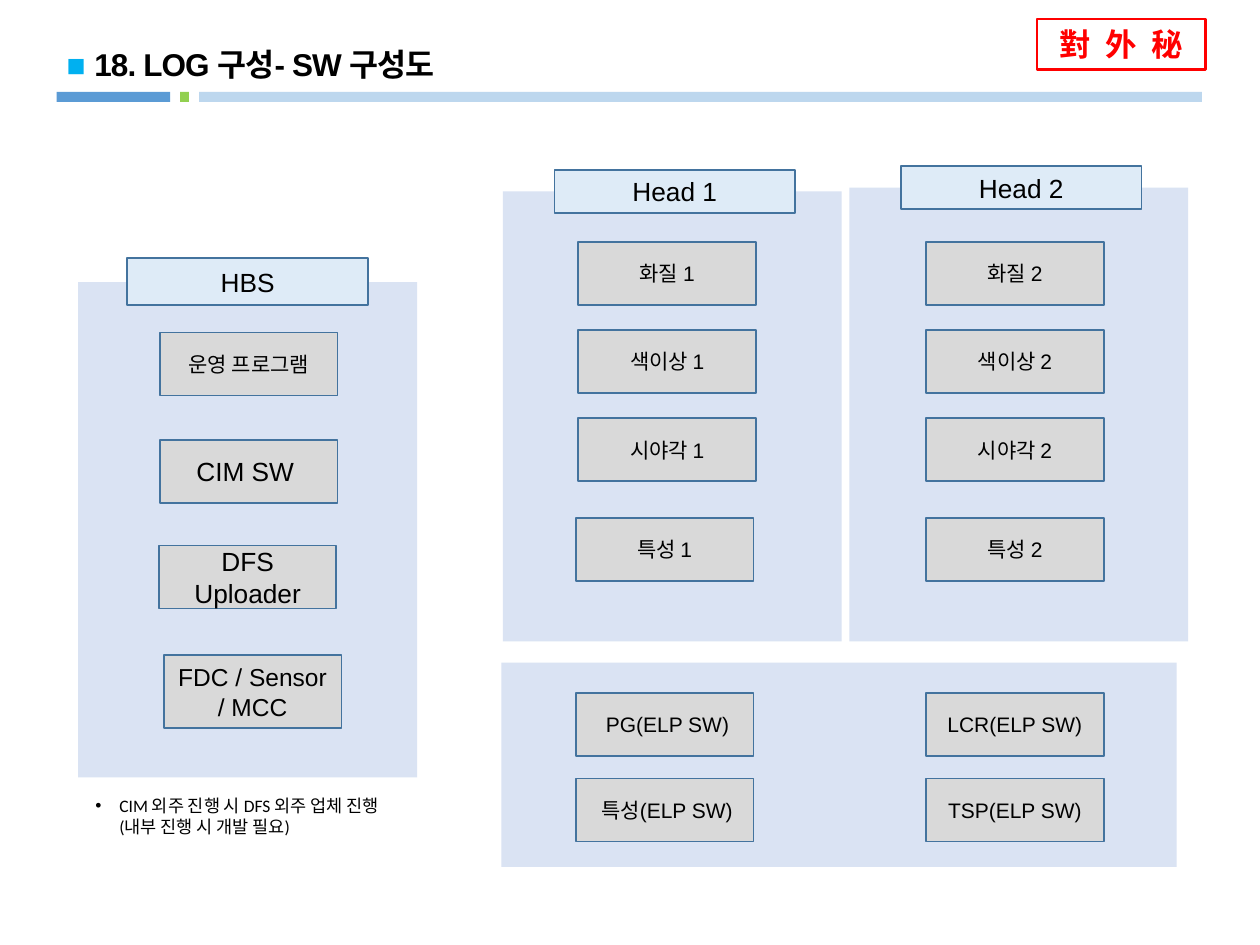
from pptx import Presentation
from pptx.util import Inches, Pt
from pptx.dml.color import RGBColor as Rgb
from pptx.enum.shapes import MSO_SHAPE as Shape
from pptx.enum.text import PP_ALIGN as Align, MSO_ANCHOR as Anchor
from lxml.etree import SubElement as Sub
from pptx.oxml.ns import qn

HUE = {
    "rail": "BDD7EE", "blue": "5B9BD5", "green": "92D050",
    "panel": "DAE3F3", "head": "DEEBF7", "box": "D9D9D9",
    "edge": "43739E", "red": "FF0000", "black": "000000", "mark": "00B0F0",
}
CJK = "Noto Sans CJK KR"
BARS = [(1.58, 7.96, "rail"), (0.45, 0.9, "blue"), (1.43, 0.07, "green")]
PANELS = [
    ("Head 1", (3.99, 1.52, 2.69, 3.57), (4.4, 1.35, 1.91, 0.34)),
    ("HBS", (0.62, 2.24, 2.69, 3.93), (1.01, 2.05, 1.91, 0.37)),
    ("Head 2", (6.74, 1.49, 2.69, 3.6), (7.15, 1.32, 1.91, 0.34)),
]
LOWER = (3.98, 5.26, 5.36, 1.62)
HOST = [
    ("운영 프로그램", 1.27, 2.64, 0.5, 12),
    ("CIM SW ", 1.27, 3.49, 0.5, 15),
    ("DFS Uploader", 1.26, 4.33, 0.5, 15),
    ("FDC / Sensor / MCC", 1.3, 5.2, 0.58, 14),
]
TESTS = [("화질", 4.59, 1.92), ("색이상", 4.59, 2.62),
         ("시야각", 4.59, 3.32), ("특성", 4.57, 4.11)]
ELP = [(" PG(ELP SW)", "LCR(ELP SW)"), (" 특성(ELP SW)", "TSP(ELP SW)")]
LEFT, RIGHT, WIDE, HIGH = 4.57, 7.35, 1.41, 0.5
NOTE = ["CIM 외주 진행 시 DFS 외주 업체 진행", "(내부 진행 시 개발 필요)"]

deck = Presentation()
deck.slide_width, deck.slide_height = Inches(10), Inches(7.5)
slide = deck.slides.add_slide(deck.slide_layouts[6])
page = slide.shapes


def write(para, text, size, hue="black", face="Arial", bold=False, gap=0):
    run = para.add_run()
    run.text = text
    font = run.font
    font.size, font.name, font.bold = Pt(size), face, bold
    font.color.rgb = Rgb.from_string(HUE[hue])
    props = run._r.get_or_add_rPr()
    Sub(props, qn("a:ea")).set("typeface", CJK)
    if gap:
        props.set("spc", str(gap))


def rect(home, at, fill=None, line=None, width=1):
    form = home.add_shape(Shape.RECTANGLE, *map(Inches, at))
    form.shadow.inherit = False
    if fill:
        form.fill.solid()
        form.fill.fore_color.rgb = Rgb.from_string(HUE[fill])
    else:
        form.fill.background()
    if line:
        form.line.color.rgb = Rgb.from_string(HUE[line])
        form.line.width = Pt(width)
    else:
        form.line.fill.background()
    return form


def label(home, at, text, size, fill="box"):
    frame = rect(home, at, fill, "edge").text_frame
    frame.word_wrap = True
    frame.vertical_anchor = Anchor.MIDDLE
    para = frame.paragraphs[0]
    para.alignment = Align.CENTER
    write(para, text, size)


for x, w, hue in BARS:
    rect(page, (x, 0.73, w, 0.08), hue)

for name, body, head in PANELS:
    group = page.add_group_shape().shapes
    rect(group, body, "panel")
    label(group, head, name, 15, "head")
rect(page, LOWER, "panel")

stamp = rect(page, (8.23, 0.15, 1.34, 0.4), None, "red", 1.5).text_frame
stamp.vertical_anchor = Anchor.MIDDLE
stamp.word_wrap = False
para = stamp.paragraphs[0]
para.alignment = Align.CENTER
write(para, "對 外 秘", 18, "red", CJK, True, 200)

title = page.add_textbox(*map(Inches, (0.43, 0.28, 7.17, 0.41))).text_frame
title.word_wrap = True
para = title.paragraphs[0]
para.line_spacing = 1.1
write(para, "■ ", 18, "mark", bold=True)
write(para, "18. LOG 구성- SW 구성도", 18, bold=True, gap=-50)

for text, x, y, h, size in HOST:
    label(page, (x, y, WIDE, h), text, size)
for text, x, y in TESTS:
    for num, left in enumerate((x, RIGHT), 1):
        label(page, (left, y, WIDE, HIGH), f"{text} {num}", 12)
for row, pair in enumerate(ELP):
    for text, x in zip(pair, (LEFT, RIGHT)):
        label(page, (x, 5.5 + row * 0.68, WIDE, HIGH), text, 12)

note = page.add_textbox(*map(Inches, (0.66, 6.26, 2.6, 0.44))).text_frame
note.word_wrap = False
for row, text in enumerate(NOTE):
    para = note.add_paragraph() if row else note.paragraphs[0]
    props = para._p.get_or_add_pPr()
    props.set("marL", str(Inches(0.19)))
    props.set("indent", str(Inches(0 if row else -0.19)))
    if not row:
        Sub(props, qn("a:buFont")).set("typeface", "Arial")
        Sub(props, qn("a:buChar")).set("char", "•")
    write(para, text, 10, face="Calibri")

deck.save("out.pptx")
